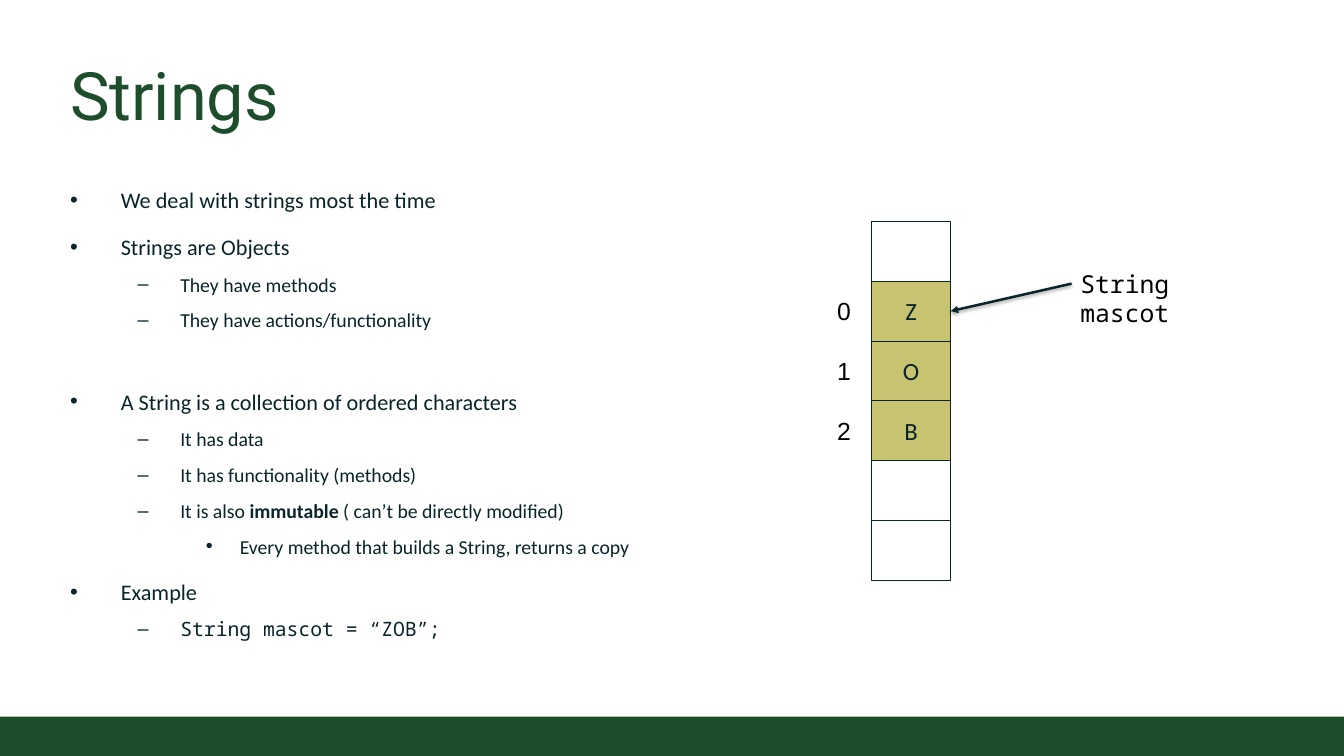
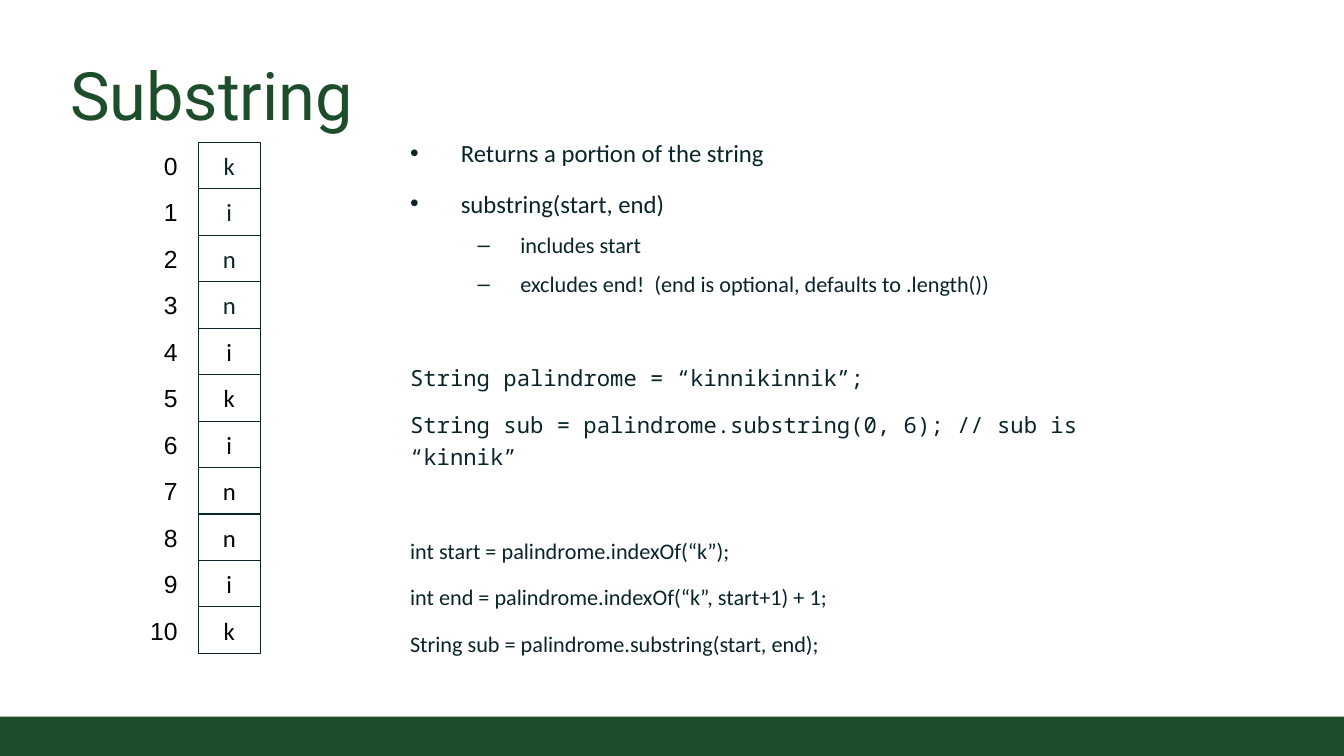
import collections
import dataclasses

import lxml.etree
import pptx
import pptx.dml.color
import pptx.enum.shapes
import pptx.enum.text
import pptx.oxml.ns
import pptx.util

Cm, Pt = pptx.util.Cm, pptx.util.Pt
Align, Anchor = pptx.enum.text.PP_ALIGN, pptx.enum.text.MSO_ANCHOR
Rect = pptx.enum.shapes.MSO_SHAPE.RECTANGLE
qn = pptx.oxml.ns.qn

Box = collections.namedtuple("Box", "left top width height")
Level = collections.namedtuple("Level", "left hang mark")


@dataclasses.dataclass(frozen=True)
class Theme:
    green: str = "1E4D2B"
    gold: str = "C8C371"
    ink: str = "092529"
    black: str = "000000"
    head: str = "Roboto"
    body: str = "Calibri"
    code: str = "Noto Sans Mono"
    digit: str = "Arial"
    title: int = 54
    cell: int = 20
    small: int = 18
    large: int = 20
    step: int = 2  # nested and plain lines are this much smaller
    inset: float = 0.25


THEME = Theme()
PAGE = Box(0, 0, 38.38, 21.59)
LEVELS = (Level(1.45, 1.45, "•"), Level(3.15, 1.22, "–"), Level(4.85, 0.97, "•"))


@dataclasses.dataclass(frozen=True)
class Line:
    """One body paragraph; level None is plain text, bold names the bold part."""
    text: str
    level: int | None = 0
    font: str = THEME.body
    bold: str = ""
    gap: int = 0


def tint(name):
    return pptx.dml.color.RGBColor.from_string(name)


def place(box):
    return [Cm(n) for n in box]


def put(para, text, size, font, color, bold=False):
    run = para.add_run()
    run.text = text
    run.font.size, run.font.name, run.font.bold = Pt(size), font, bold
    run.font.color.rgb = tint(color)


def frame(shape, inset, anchor=Anchor.TOP):
    """Set up a shape's text frame with equal insets."""
    text = shape.text_frame
    text.word_wrap = True
    text.vertical_anchor = anchor
    text.margin_left = text.margin_right = Cm(inset)
    text.margin_top = text.margin_bottom = Cm(inset)
    return text


def block(slide, box, fill=None, line=None):
    shape = slide.shapes.add_shape(Rect, *place(box))
    shape.shadow.inherit = False
    if fill:
        shape.fill.solid()
        shape.fill.fore_color.rgb = tint(fill)
    else:
        shape.fill.background()
    if line:
        shape.line.color.rgb = tint(line)
        shape.line.width = Pt(0.75)
    else:
        shape.line.fill.background()
    return shape


def start(deck, title):
    """Add a slide with the shared footer band and title."""
    slide = deck.slides.add_slide(deck.slide_layouts[6])
    tall = 1.12
    block(slide, Box(0, PAGE.height - tall, PAGE.width, tall), THEME.green)
    shape = slide.shapes.add_textbox(*place(Box(1.75, 1.24, 34.9, 2.82)))
    text = frame(shape, THEME.inset, Anchor.BOTTOM)
    put(text.paragraphs[0], title, THEME.title, THEME.head, THEME.green)
    return slide


def indent(para, level):
    para.level = LEVELS.index(level)
    props = para._p.get_or_add_pPr()
    props.set("marL", str(Cm(level.left)))
    props.set("indent", str(-Cm(level.hang)))
    lxml.etree.SubElement(props, qn("a:buFont")).set("typeface", THEME.digit)
    lxml.etree.SubElement(props, qn("a:buChar")).set("char", level.mark)


def body(slide, box, lines, size):
    text = frame(slide.shapes.add_textbox(*place(box)), THEME.inset)
    for i, line in enumerate(lines):
        para = text.add_paragraph() if i else text.paragraphs[0]
        para.line_spacing = 1.2
        para.space_before = Pt((0 if line.level else 6) + line.gap)
        para.space_after = Pt(6)
        if line.level is not None:
            indent(para, LEVELS[line.level])
        points = size if line.level == 0 else size - THEME.step
        parts = line.text.partition(line.bold) if line.bold else (line.text,)
        for part in parts:
            put(para, part, points, line.font, THEME.ink, part == line.bold)


def column(slide, box, letters, first=0, fill=None, dark=None):
    """Stack cells, numbering the filled ones from cell first; return them.

    The first dark letters take the ink colour and the rest are black.
    """
    cells = []
    tall = box.height / len(letters)
    wide, high, space = 1.5, 1.12, 0.34
    dark = len(letters) if dark is None else dark
    for i, letter in enumerate(letters):
        top = box.top + i * tall
        shape = block(slide, Box(box.left, top, box.width, tall),
                      fill if letter else None, THEME.ink)
        cells.append(shape)
        if not letter:
            continue
        para = frame(shape, 0, Anchor.MIDDLE).paragraphs[0]
        para.alignment = Align.CENTER
        put(para, letter, THEME.cell, THEME.body,
            THEME.ink if i < dark else THEME.black)
        spot = Box(box.left - space - wide, top + (tall - high) / 2, wide, high)
        label = slide.shapes.add_textbox(*place(spot))
        para = frame(label, THEME.inset, Anchor.MIDDLE).paragraphs[0]
        para.alignment = Align.RIGHT
        put(para, str(i - first), THEME.cell, THEME.digit, THEME.black)
    return cells


def arrow(slide, source, target):
    """Point from the left side of source to the right side of target."""
    line = slide.shapes.add_connector(
        pptx.enum.shapes.MSO_CONNECTOR.STRAIGHT, 0, 0, 0, 0)
    line.begin_connect(source, 1)
    line.end_connect(target, 3)
    line.line.color.rgb = tint(THEME.ink)
    line.line.width = Pt(2)
    add = lxml.etree.SubElement
    add(line.line._get_or_add_ln(), qn("a:tailEnd")).set("type", "triangle")
    effects = add(line._element.spPr, qn("a:effectLst"))
    shade = add(effects, qn("a:outerShdw"), blurRad=str(Pt(3.1)),
                dist=str(Pt(1.6)), dir="5400000", rotWithShape="0")
    color = add(shade, qn("a:srgbClr"), val=THEME.black)
    add(color, qn("a:alpha"), val="38000")


def strings(deck):
    slide = start(deck, "Strings")
    body(slide, Box(1.75, 4.93, 20.8, 13.97), (
        Line("We deal with strings most the time"),
        Line("Strings are Objects"),
        Line("They have methods", 1),
        Line("They have actions/functionality", 1),
        Line("A String is a collection of ordered characters", gap=29),
        Line("It has data", 1),
        Line("It has functionality (methods)", 1),
        Line("It is also immutable ( can’t be directly modified)", 1,
             bold="immutable"),
        Line("Every method that builds a String, returns a copy", 2),
        Line("Example"),
        Line("String mascot = “ZOB”;", 1, THEME.code),
    ), THEME.small)
    cells = column(slide, Box(24.89, 6.32, 2.26, 10.26),
                   ("", "Z", "O", "B", "", ""), 1, THEME.gold)
    label = slide.shapes.add_textbox(*place(Box(30.6, 7.54, 5.9, 1.12)))
    text = frame(label, THEME.inset)
    text.margin_top = text.margin_bottom = Cm(0.13)
    put(text.paragraphs[0], "String mascot", THEME.cell, THEME.code, THEME.black)
    arrow(slide, label, cells[1])


def substring(deck):
    slide = start(deck, "Substring")
    body(slide, Box(11.46, 3.53, 21.26, 14.63), (
        Line("Returns a portion of the string"),
        Line("substring(start, end)"),
        Line("includes start", 1),
        Line("excludes end!  (end is optional, defaults to .length())", 1),
        Line("String palindrome = “kinnikinnik”;", None, THEME.code, gap=38),
        Line("String sub = palindrome.substring(0, 6); // sub is “kinnik”",
             None, THEME.code),
        Line("int start = palindrome.indexOf(“k”);", None, gap=38),
        Line("int end = palindrome.indexOf(“k”, start+1) + 1;", None),
        Line("String sub = palindrome.substring(start, end);", None),
    ), THEME.large)
    column(slide, Box(5.66, 4.06, 1.78, 14.6), "kinnikinnik", dark=4)


def main():
    deck = pptx.Presentation()
    deck.slide_width, deck.slide_height = Cm(PAGE.width), Cm(PAGE.height)
    strings(deck)
    substring(deck)
    deck.save("out.pptx")


if __name__ == "__main__":
    main()
